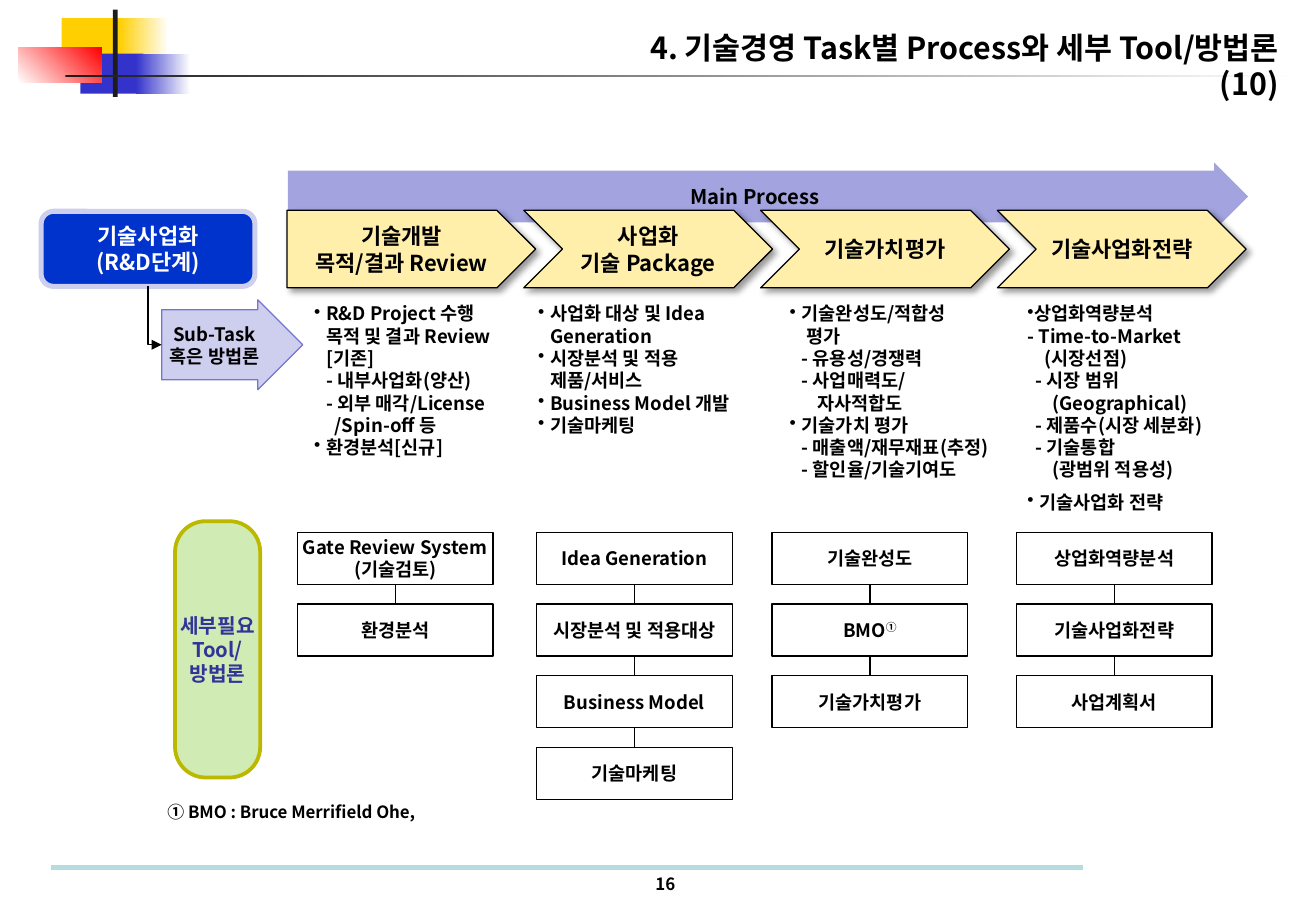
from dataclasses import dataclass

from lxml import etree
from pptx import Presentation, util as u
from pptx.dml.color import RGBColor
from pptx.enum import shapes, text
from pptx.oxml import ns


@dataclass(frozen=True)
class Theme:
    """Colours, type sizes and font of the slide."""
    font: str = "Noto Sans CJK KR"
    black: str = "000000"
    white: str = "FFFFFF"
    ink: str = "1C1C1C"
    yellow: str = "FFCF01"
    blue: str = "3333CC"
    red: str = "FF0000"
    footer: str = "B6DCDF"
    main_arrow: str = "A3A3E0"
    stage: str = "FFEFAB"
    task: str = "0033CC"
    lilac: str = "CECEEF"
    lilac_edge: str = "7575D1"
    green: str = "D0EBB3"
    green_edge: str = "BCB800"
    green_text: str = "333399"
    title: int = 18
    heading: int = 13
    label: int = 12
    body: int = 11
    small: int = 10
    leading: float = 1.2


@dataclass(frozen=True)
class Box:
    """A rectangle in centimetres."""
    left: float
    top: float
    width: float
    height: float

    def inner(self, x, y, width, height):
        """Return a box offset from this one's corner."""
        return Box(self.left + x, self.top + y, width, height)

    def lengths(self):
        """Return the four lengths for a shape call."""
        return [u.Cm(v) for v in (self.left, self.top, self.width, self.height)]


THEME = Theme()
KIND = shapes.MSO_SHAPE
CENTER = text.PP_ALIGN.CENTER
STAGES = [["기술개발", "목적/결과 Review"], ["사업화", "기술 Package"], ["기술가치평가"], ["기술사업화전략"]]
DETAILS = [
    (6.32, 4.6, [("•", 0.25, "R&D Project 수행"), ("", 0.25, "목적 및 결과 Review"),
                 ("", 0.25, "[기존]"), ("", 0.25, "- 내부사업화(양산)"),
                 ("", 0.25, "- 외부 매각/License"), ("", 0.43, "/Spin-off 등"),
                 ("•", 0.25, "환경분석[신규]")]),
    (11.0, 4.8, [("•", 0.25, "사업화 대상 및 Idea"), ("", 0.25, "Generation"),
                 ("•", 0.25, "시장분석 및 적용"), ("", 0.25, "제품/서비스"),
                 ("•", 0.25, "Business Model 개발"), ("•", 0.25, "기술마케팅")]),
    (16.26, 4.83, [("•", 0.25, "기술완성도/적합성"), ("", 0.35, "평가"),
                   ("", 0.25, "- 유용성/경쟁력"), ("", 0.25, "- 사업매력도/"),
                   ("", 0.58, "자사적합도"), ("•", 0.25, "기술가치 평가"),
                   ("", 0.25, "- 매출액/재무재표(추정)"), ("", 0.25, "- 할인율/기술기여도")]),
    (21.23, 4.9, [("•", 0.13, "상업화역량분석"), ("", 0, "- Time-to-Market"),
                  ("", 0.36, "(시장선점)"), ("", 0.17, "- 시장 범위"),
                  ("", 0.52, "(Geographical)"), ("", 0.17, "- 제품수(시장 세분화)"),
                  ("", 0.17, "- 기술통합"), ("", 0.52, "(광범위 적용성)"),
                  ("•", 0.25, "기술사업화 전략")]),
]
TOOLS = [
    (6.22, [["Gate Review System", "(기술검토)"], ["환경분석"]]),
    (11.22, [["Idea Generation"], ["시장분석 및 적용대상"], ["Business Model"], ["기술마케팅"]]),
    (16.14, [["기술완성도"], [("BMO", "①")], ["기술가치평가"]]),
    (21.25, [["상업화역량분석"], ["기술사업화전략"], ["사업계획서"]]),
]


def add_run(paragraph, words, size, color, raised=False):
    """Add one bold run to a paragraph."""
    run = paragraph.add_run()
    run.text = words
    run.font.size, run.font.bold, run.font.name = u.Pt(size), True, THEME.font
    run.font.color.rgb = RGBColor.from_string(color)
    properties = run._r.get_or_add_rPr()
    etree.SubElement(properties, ns.qn("a:ea")).set("typeface", THEME.font)
    if raised:
        properties.set("baseline", "30000")


def next_paragraph(frame, index, size):
    """Return the paragraph at the end of a frame, with fixed leading."""
    paragraph = frame.add_paragraph() if index else frame.paragraphs[0]
    paragraph.line_spacing = u.Pt(round(size * THEME.leading, 1))
    return paragraph


def write_lines(frame, lines, size, color=THEME.black, align=CENTER):
    """Write lines as paragraphs; a pair ends in a raised mark."""
    for index, line in enumerate(lines):
        paragraph = next_paragraph(frame, index, size)
        paragraph.alignment = align
        for position, words in enumerate((line,) if isinstance(line, str) else line):
            add_run(paragraph, words, size, color, raised=position > 0)


def add_text(slide, box):
    """Add a wrapping text box and return its frame."""
    frame = slide.shapes.add_textbox(*box.lengths()).text_frame
    frame.word_wrap = True
    return frame


def add_block(slide, kind, box, fill, edge=None, weight=0.75, lines=(), size=THEME.body, color=THEME.black):
    """Add a preset shape with an optional outline and centred label."""
    shape = slide.shapes.add_shape(kind, *box.lengths())
    shape.shadow.inherit = False
    if isinstance(fill, str):
        shape.fill.solid()
        shape.fill.fore_color.rgb = RGBColor.from_string(fill)
    else:
        start, end, angle = fill
        shape.fill.gradient()
        shape.fill.gradient_angle = angle
        for stop, shade in zip(shape.fill.gradient_stops, (start, end)):
            stop.color.rgb = RGBColor.from_string(shade)
    if edge:
        shape.line.color.rgb = RGBColor.from_string(edge)
        shape.line.width = u.Pt(weight)
    else:
        shape.line.fill.background()
    frame = shape.text_frame
    frame.margin_left = frame.margin_right = frame.margin_top = frame.margin_bottom = 0
    frame.word_wrap = False
    frame.vertical_anchor = text.MSO_ANCHOR.MIDDLE
    write_lines(frame, lines, size, color)
    return shape


def add_line(slide, kind, ends=(0, 0, 0, 0), color=THEME.black, weight=0.75):
    """Add a connector without a shadow."""
    line = slide.shapes.add_connector(kind, *[u.Cm(v) for v in ends])
    line.line.color.rgb = RGBColor.from_string(color)
    line.line.width = u.Pt(weight)
    etree.SubElement(line.element.spPr, ns.qn("a:effectLst"))
    return line


def add_drop_shadow(shape):
    """Give a shape a soft shadow to the lower right."""
    effects = shape.element.spPr.find(ns.qn("a:effectLst"))
    shadow = etree.SubElement(effects, ns.qn("a:outerShdw"), blurRad=str(u.Pt(4)), dist=str(u.Pt(3)),
                              dir="2700000", algn="tl", rotWithShape="0")
    color = etree.SubElement(shadow, ns.qn("a:srgbClr"), val=THEME.black)
    etree.SubElement(color, ns.qn("a:alpha"), val="40000")


def bend_down_then_right(line, start, end):
    """Join two shapes with one corner below the first shape."""
    line.begin_connect(start, 2)
    line.end_connect(end, 1)
    across, down = line.width, line.height
    middle_x, middle_y = line.left + across // 2, line.top + down // 2
    line.left, line.top = middle_x - down // 2, middle_y - across // 2
    line.width, line.height = down, across
    properties = line.element.spPr
    frame = properties.find(ns.qn("a:xfrm"))
    frame.set("rot", "16200000")
    frame.set("flipH", "1")
    properties.find(ns.qn("a:prstGeom")).set("prst", "bentConnector2")
    etree.SubElement(properties.find(ns.qn("a:ln")), ns.qn("a:tailEnd"), type="triangle")


def draw_header(slide, box):
    """Draw the coloured emblem, the rule and the title."""
    for *place, fill in [
        (0.91, 0.18, 1.37, 0.84, THEME.yellow), (2.11, 0.18, 1.04, 0.84, (THEME.yellow, THEME.white, 0)),
        (1.3, 0.92, 1.32, 0.84, THEME.blue), (2.46, 0.92, 1.14, 0.84, (THEME.blue, THEME.white, 0)),
        (0, 0.79, 1.75, 0.74, (THEME.white, THEME.red, 45)), (1.98, 0, 0.1, 1.83, THEME.ink),
        (0.99, 1.37, 25.76, 0.05, (THEME.ink, THEME.white, 0)),
    ]:
        add_block(slide, KIND.RECTANGLE, box.inner(*place), fill)
    frame = add_text(slide, box.inner(10.85, 0.28, 15.75, 1.02))
    paragraph = next_paragraph(frame, 0, THEME.title)
    paragraph.alignment = text.PP_ALIGN.RIGHT
    add_run(paragraph, "4. 기술경영 Task별 Process와 세부 Tool/방법론", THEME.title, THEME.black)
    paragraph.add_line_break()
    add_run(paragraph, "(10)", THEME.title, THEME.black)


def draw_process(slide, box):
    """Draw the main arrow with its four stages."""
    arrow = add_block(slide, KIND.RIGHT_ARROW, box.inner(0.02, 0, 20.07, 1.42), THEME.main_arrow,
                      lines=["Main Process"], size=THEME.label)
    arrow.adjustments[0] = 0.76
    for index, lines in enumerate(STAGES):
        kind = KIND.CHEVRON if index else KIND.PENTAGON
        stage = add_block(slide, kind, box.inner(4.95 * index, 1, 5.2, 1.62), THEME.stage,
                          THEME.black, lines=lines, size=THEME.heading)
        add_drop_shadow(stage)


def draw_task(slide, box):
    """Draw the task, its sub-task arrow and the tool label."""
    task = add_block(slide, KIND.ROUNDED_RECTANGLE, box.inner(0, 0, 4.47, 1.57), THEME.task, THEME.lilac, 3,
                     ["기술사업화", "(R&D단계)"], THEME.heading, THEME.white)
    arrow = add_block(slide, KIND.RIGHT_ARROW, box.inner(2.52, 1.85, 2.95, 1.88), THEME.lilac,
                      THEME.lilac_edge, lines=["Sub-Task", "혹은 방법론"])
    arrow.adjustments[0] = 0.78
    bend_down_then_right(add_line(slide, shapes.MSO_CONNECTOR.ELBOW), task, arrow)
    label = add_block(slide, KIND.ROUNDED_RECTANGLE, box.inner(2.8, 6.48, 1.78, 5.36), THEME.green, THEME.green_edge,
                      2.25, ["세부필요", "Tool/", "방법론"], THEME.label, THEME.green_text)
    label.adjustments[0] = 0.36


def draw_details(slide, box):
    """Write the bulleted notes below each stage."""
    for left, width, entries in DETAILS:
        frame = add_text(slide, box.inner(left - box.left, 0, width, box.height))
        for index, (bullet, indent, words) in enumerate(entries):
            paragraph = next_paragraph(frame, index, THEME.body)
            properties = paragraph._p.get_or_add_pPr()
            properties.set("marL", str(u.Cm(indent)))
            properties.set("indent", str(-u.Cm(indent) if bullet else 0))
            if bullet:
                etree.SubElement(properties, ns.qn("a:buChar"), char=bullet)
            if words == "기술사업화 전략":
                paragraph.space_before = u.Pt(6)
            add_run(paragraph, words, THEME.body, THEME.black)


def draw_tools(slide, box):
    """Draw a linked column of tools for each stage."""
    for left, labels in TOOLS:
        above = None
        for row, lines in enumerate(labels):
            tool = add_block(slide, KIND.RECTANGLE, box.inner(left - box.left, 1.5 * row, 4.09, 1.09),
                             THEME.white, THEME.black, lines=lines)
            if above:
                link = add_line(slide, shapes.MSO_CONNECTOR.STRAIGHT)
                link.begin_connect(above, 2)
                link.end_connect(tool, 0)
            above = tool


def draw_footer(slide, box):
    """Draw the footnote, the bottom rule and the page number."""
    write_lines(add_text(slide, box.inner(2.18, 0, 6.07, 0.69)), ["① BMO : Bruce Merrifield Ohe,"],
                THEME.small, align=text.PP_ALIGN.LEFT)
    rule = box.top + 1.5
    add_line(slide, shapes.MSO_CONNECTOR.STRAIGHT, (box.left, rule, box.left + box.width, rule), THEME.footer, 3.5)
    write_lines(add_text(slide, box.inner(12.34, 1.5, 1, 0.69)), ["16"], THEME.small)


def main():
    """Build and save the slide."""
    presentation = Presentation()
    presentation.slide_width, presentation.slide_height = u.Cm(27.51), u.Cm(19.05)
    slide = presentation.slides.add_slide(presentation.slide_layouts[6])
    draw_header(slide, Box(0.38, 0.2, 26.75, 1.83))
    draw_process(slide, Box(6, 3.4, 20.09, 2.62))
    draw_task(slide, Box(0.86, 4.42, 5.47, 11.84))
    draw_details(slide, Box(6.32, 6.2, 19.81, 4.6))
    draw_tools(slide, Box(6.22, 11.13, 19.12, 5.59))
    draw_footer(slide, Box(1.07, 16.64, 21.56, 2.19))
    presentation.save("out.pptx")


if __name__ == "__main__":
    main()
